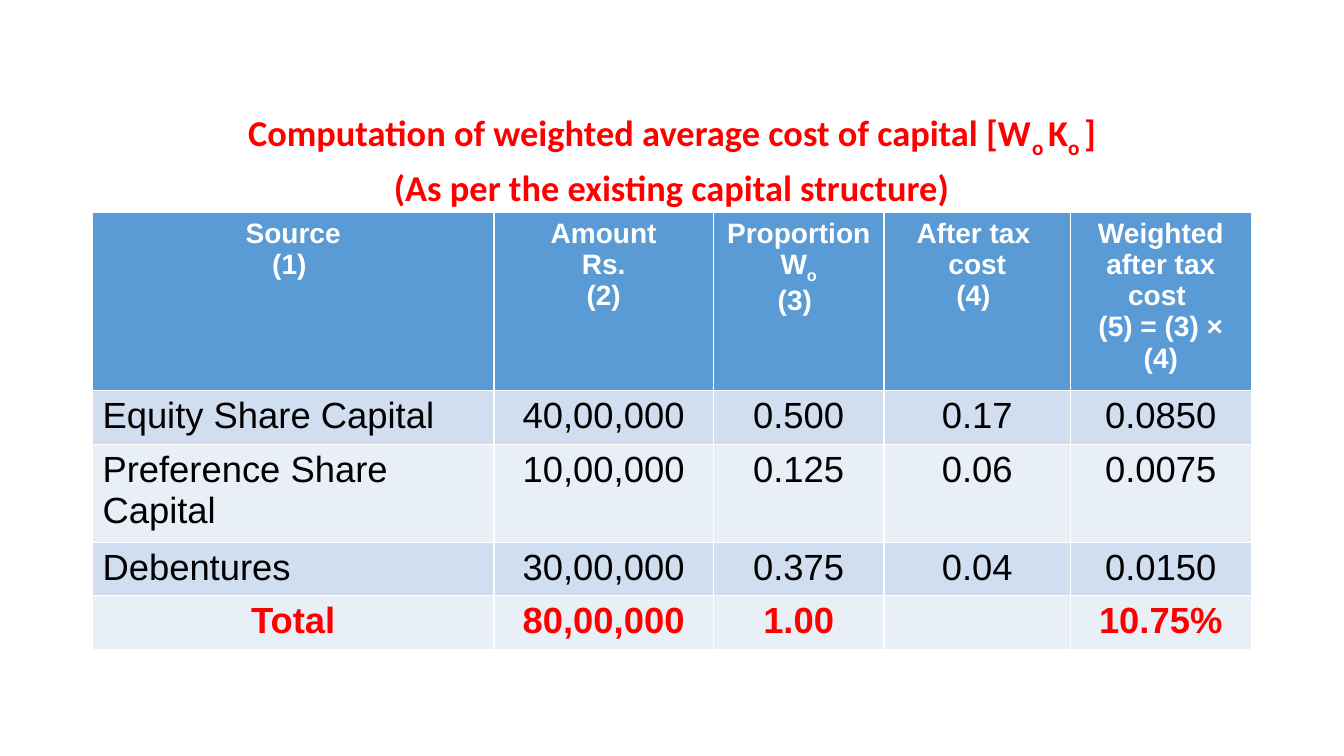
from dataclasses import dataclass

from pptx import Presentation
from pptx.dml.color import RGBColor
from pptx.enum.text import PP_ALIGN
from pptx.util import Cm, Pt

CENTER = PP_ALIGN.CENTER
LEFT = PP_ALIGN.LEFT


@dataclass(frozen=True)
class TextStyle:
    font: str
    size: int
    color: str
    bold: bool


@dataclass(frozen=True)
class Theme:
    heading: TextStyle = TextStyle("Calibri", 26, "FF0000", True)
    header: TextStyle = TextStyle("Arial", 20, "FFFFFF", True)
    body: TextStyle = TextStyle("Arial", 26, "000000", False)
    total: TextStyle = TextStyle("Arial", 26, "FF0000", True)
    header_fill: str = "5B9BD5"
    band_fills: tuple[str, str] = ("D0DEEF", "E9EFF7")


@dataclass(frozen=True)
class Span:
    text: str
    subscript: bool = False


@dataclass(frozen=True)
class Column:
    width: float
    heading: list[list[Span]]


@dataclass(frozen=True)
class SourceRow:
    values: tuple[str, ...]
    style: TextStyle
    label_align: PP_ALIGN = LEFT


THEME = Theme()
HEADING = [
    [
        Span("Computation of weighted average cost of capital [W"),
        Span("o ", True),
        Span("K"),
        Span("o ", True),
        Span("]"),
    ],
    [Span("(As per the existing capital structure)")],
]
COLUMNS = [
    Column(10.12, [[Span("Source")], [Span("(1) ")]]),
    Column(5.53, [[Span("Amount")], [Span("Rs.")], [Span("(2)")]]),
    Column(4.3, [[Span("Proportion ")], [Span("W"), Span("o", True)], [Span("(3) ")]]),
    Column(4.7, [[Span("After tax ")], [Span("cost")], [Span("(4) ")]]),
    Column(4.55, [[Span("Weighted after tax cost ")], [Span("(5) = (3) × (4)")]]),
]
SOURCES = [
    SourceRow(("Equity Share Capital", "40,00,000", "0.500", "0.17", "0.0850"), THEME.body),
    SourceRow(("Preference Share Capital", "10,00,000", "0.125", "0.06", "0.0075"), THEME.body),
    SourceRow(("Debentures", "30,00,000", "0.375", "0.04", "0.0150"), THEME.body),
    SourceRow(("Total", "80,00,000", "1.00", "", "10.75%"), THEME.total, CENTER),
]
LEFT_EDGE = 2.33
HEADING_TOP, HEADING_WIDTH, HEADING_HEIGHT = 2.67, 29.21, 14.5
TABLE_TOP, HEADER_HEIGHT, ROW_HEIGHT = 5.36, 2.54, 1.02


def write(frame, lines: list[list[Span]], style: TextStyle, align: PP_ALIGN = CENTER,
          line_spacing: float = 1.0, space_before: int = 0) -> None:
    for index, line in enumerate(lines):
        paragraph = frame.add_paragraph() if index else frame.paragraphs[0]
        paragraph.alignment = align
        paragraph.line_spacing = line_spacing
        if index:
            paragraph.space_before = Pt(space_before)
        for span in line:
            run = paragraph.add_run()
            run.text = span.text
            run.font.name = style.font
            run.font.size = Pt(style.size)
            run.font.bold = style.bold
            run.font.color.rgb = RGBColor.from_string(style.color)
            if span.subscript:
                run._r.get_or_add_rPr().set("baseline", "-25000")


def fill_cell(cell, lines: list[list[Span]], style: TextStyle, fill: str,
              align: PP_ALIGN = CENTER) -> None:
    cell.fill.solid()
    cell.fill.fore_color.rgb = RGBColor.from_string(fill)
    write(cell.text_frame, lines, style, align)


def draw_heading(slide) -> None:
    heading = slide.shapes.add_textbox(
        Cm(LEFT_EDGE), Cm(HEADING_TOP), Cm(HEADING_WIDTH), Cm(HEADING_HEIGHT))
    heading.text_frame.word_wrap = True
    write(heading.text_frame, HEADING, THEME.heading, line_spacing=0.9, space_before=10)


def draw_cost_table(slide) -> None:
    cost_table = slide.shapes.add_table(
        len(SOURCES) + 1, len(COLUMNS), Cm(LEFT_EDGE), Cm(TABLE_TOP),
        Cm(sum(column.width for column in COLUMNS)),
        Cm(HEADER_HEIGHT + ROW_HEIGHT * len(SOURCES))).table
    cost_table.rows[0].height = Cm(HEADER_HEIGHT)
    for position, column in enumerate(COLUMNS):
        cost_table.columns[position].width = Cm(column.width)
        fill_cell(cost_table.cell(0, position), column.heading, THEME.header, THEME.header_fill)
    for number, source in enumerate(SOURCES):
        cost_table.rows[number + 1].height = Cm(ROW_HEIGHT)
        band = THEME.band_fills[number % 2]
        for position, value in enumerate(source.values):
            align = CENTER if position else source.label_align
            lines = [[Span(value)]] if value else []
            fill_cell(cost_table.cell(number + 1, position), lines, source.style, band, align)


def main() -> None:
    presentation = Presentation()
    presentation.slide_width = Cm(33.87)
    presentation.slide_height = Cm(19.05)
    slide = presentation.slides.add_slide(presentation.slide_layouts[6])
    draw_heading(slide)
    draw_cost_table(slide)
    presentation.save("out.pptx")


if __name__ == "__main__":
    main()
